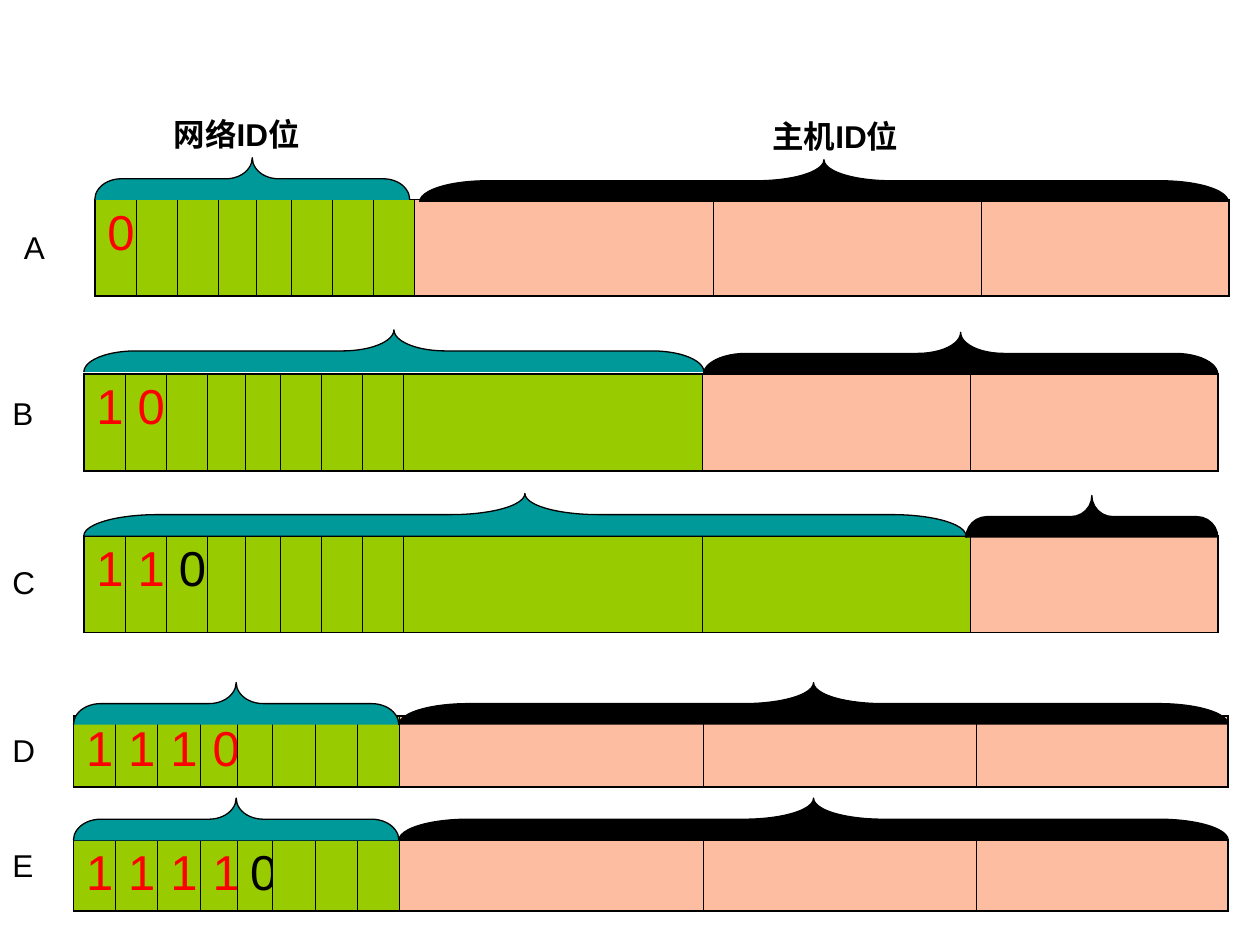
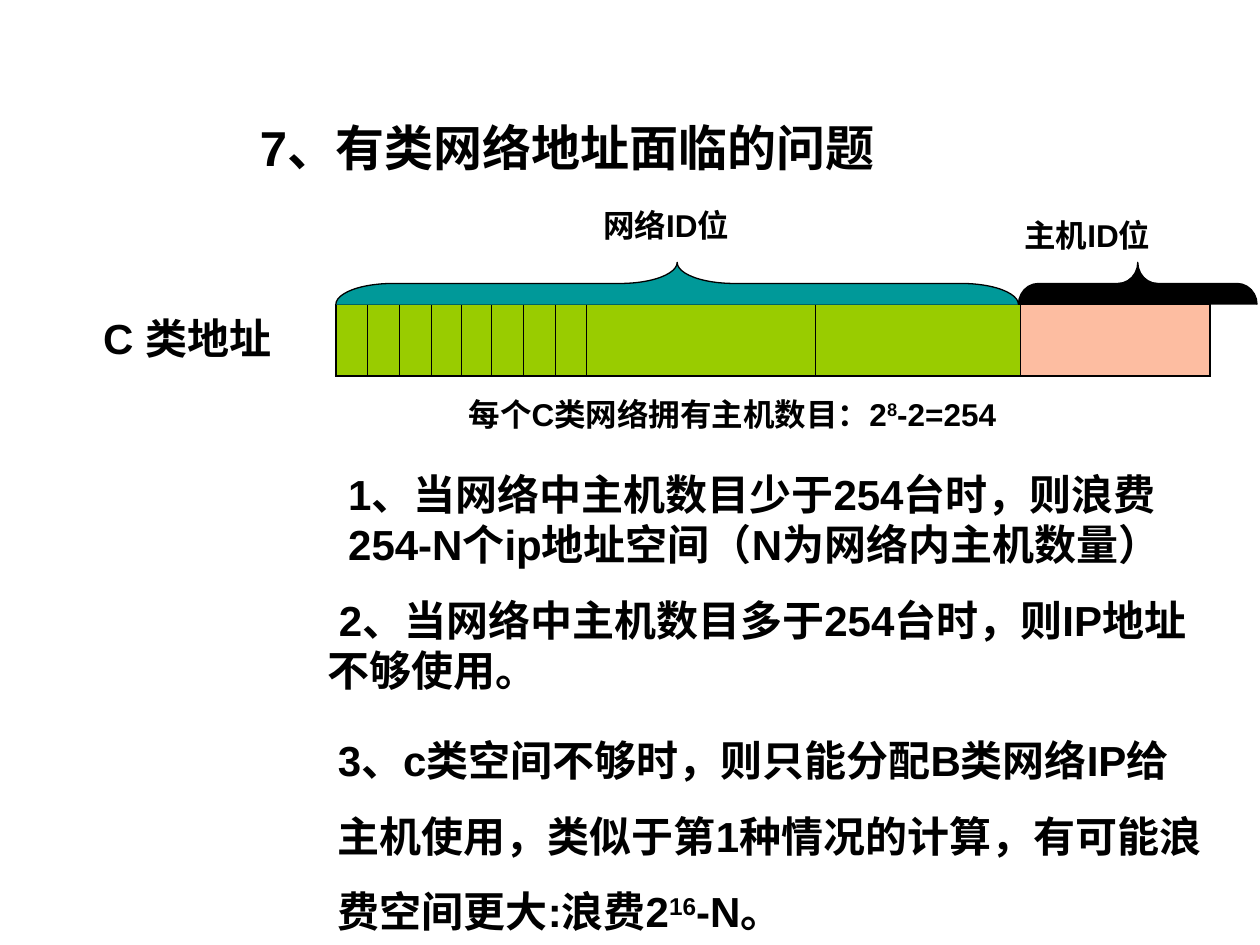
"""Build two slides on the network and host bits of classful IP addresses."""
from lxml import etree
from pptx import Presentation
from pptx.dml.color import RGBColor
from pptx.enum.shapes import MSO_SHAPE
from pptx.enum.text import MSO_ANCHOR, MSO_AUTO_SIZE, PP_ALIGN
from pptx.oxml.ns import qn
from pptx.util import Cm, Pt

BRACE = MSO_SHAPE.LEFT_BRACE
GROW = MSO_AUTO_SIZE.SHAPE_TO_FIT_TEXT
MIDDLE = MSO_ANCHOR.MIDDLE
CENTER, LEFT = PP_ALIGN.CENTER, PP_ALIGN.LEFT

BLACK = RGBColor(0, 0, 0)
RED = RGBColor(0xFF, 0, 0)
TEAL = RGBColor(0, 0x99, 0x99)
GREEN = RGBColor(0x99, 0xCC, 0)
PEACH = RGBColor(0xFD, 0xBD, 0xA1)

FONT = "Arial"
BRACE_HEIGHT = 0.85
THIN, THICK = 0.45, 1.08


def octet_columns(bit, fourth_bit, fifth_bit, *octets):
    """Return the widths of eight bit columns followed by three octets."""
    return [bit] * 3 + [fourth_bit, fifth_bit] + [bit] * 3 + list(octets)


NARROW = octet_columns(0.83, 0.76, 0.71, 6.02, 5.41, 4.98)
WIDE = octet_columns(0.85, 0.76, 0.71, 6.13, 5.5, 5.08)
SMALL = octet_columns(0.64, 0.6, 0.6, 4.62, 4.13, 3.81)

# letter, letter position, digits, colour of the last digit, network columns,
# table (left, top, height, columns), braces (left, top, length)
ADDRESS_CLASSES = [
    ("A", (0.23, 4.47), "0", RED, 8, (1.91, 4.02, 1.95, NARROW),
     (1.91, 3.18, 6.35), (8.46, 3.22, 16.3)),
    ("B", (0, 7.82), "10", RED, 9, (1.69, 7.54, 1.95, NARROW),
     (1.69, 6.65, 12.5), (14.18, 6.7, 10.37)),
    ("C", (0, 11.23), "110", BLACK, 10, (1.69, 10.8, 1.95, NARROW),
     (1.69, 9.95, 17.78), (19.47, 9.99, 5.08)),
    ("D", (0, 14.61), "1110", RED, 8, (1.48, 14.43, 1.44, WIDE),
     (1.48, 13.76, 6.56), (8.04, 13.76, 16.72)),
    ("E", (0, 16.94), "11110", BLACK, 8, (1.48, 16.93, 1.44, WIDE),
     (1.48, 16.09, 6.56), (8.04, 16.09, 16.72)),
]

NETWORK_LABEL, HOST_LABEL = "网络ID位", "主机ID位"
CLASS_C_BAR = ("", BLACK, 10, (6.77, 6.14, 1.44, SMALL),
               (6.77, 5.29, 13.76), (20.53, 5.29, 4.81))

TITLE = "7、有类网络地址面临的问题"
# paragraphs of runs (every second run is raised), box, size, wrap, line spacing
PROBLEM_TEXTS = [
    ([["C 类地址"]], (1.83, 6.17, 4.09, 1.27), 24, False, 1),
    ([["每个C类网络拥有主机数目：2", "8", "-2=254"]],
     (9.2, 7.83, 11.58, 1.02), 18, False, 1),
    ([["1、当网络中主机数目少于254台时，则浪费254-N个ip地址空间（N为网络内主机数量）"]],
     (6.77, 9.31, 17.99, 2.29), 24, True, 1),
    ([[" 2、当网络中主机数目多于254台时，则IP地址"], ["不够使用。"]],
     (6.35, 11.85, 22.66, 2.29), 24, True, 1),
    ([["3、c类空间不够时，则只能分配B类网络IP给主机使用，类似于第1种情况的计算，"
       "有可能浪费空间更大:浪费2", "16", "-N。"]],
     (6.56, 14.18, 17.99, 4.83), 24, True, 1.5),
]


def style(paragraph, size, color=BLACK, bold=False):
    font = paragraph.font
    font.name, font.size, font.bold = FONT, Pt(size), bold
    font.color.rgb = color


def add_text(slide, paragraphs, box, size, wrap=False, spacing=1, bold=True):
    frame = slide.shapes.add_textbox(*map(Cm, box)).text_frame
    frame.word_wrap = wrap
    frame.auto_size = GROW
    for number, runs in enumerate(paragraphs):
        paragraph = frame.add_paragraph() if number else frame.paragraphs[0]
        paragraph.alignment = LEFT
        paragraph.line_spacing = spacing
        style(paragraph, size, bold=bold)
        for position, text in enumerate(runs):
            run = paragraph.add_run()
            run.text = text
            if position % 2:
                run._r.get_or_add_rPr().set("baseline", "30000")
    return frame


def add_brace(slide, left, top, length, color):
    middle_x, middle_y = left + length / 2, top + BRACE_HEIGHT / 2
    brace = slide.shapes.add_shape(
        BRACE, Cm(middle_x - BRACE_HEIGHT / 2), Cm(middle_y - length / 2),
        Cm(BRACE_HEIGHT), Cm(length))
    brace.rotation = 90
    brace.adjustments[0] = length / 12 / BRACE_HEIGHT
    brace.shadow.inherit = False
    brace.fill.solid()
    brace.fill.fore_color.rgb = color
    brace.line.color.rgb = BLACK
    brace.line.width = Pt(0.75)


def add_borders(cell, first, last):
    properties = cell._tc.get_or_add_tcPr()
    widths = {"lnL": THICK if first else THIN, "lnR": THICK if last else THIN,
              "lnT": THICK, "lnB": THICK}
    for side, width in widths.items():
        line = etree.SubElement(properties, qn(f"a:{side}"), w=str(Pt(width)))
        fill = etree.SubElement(line, qn("a:solidFill"))
        etree.SubElement(fill, qn("a:srgbClr"), val=str(BLACK))


def add_address_bar(slide, digits, last_color, network_columns, grid,
                    network_brace, host_brace):
    left, top, height, widths = grid
    table = slide.shapes.add_table(
        1, len(widths), Cm(left), Cm(top), Cm(sum(widths)), Cm(height)).table
    table.first_row = table.horz_banding = False
    table.rows[0].height = Cm(height)
    for index, width in enumerate(widths):
        table.columns[index].width = Cm(width)
        cell = table.cell(0, index)
        add_borders(cell, index == 0, index == len(widths) - 1)
        cell.fill.solid()
        cell.fill.fore_color.rgb = GREEN if index < network_columns else PEACH
        if index < len(digits):
            cell.text = digits[index]
            digit = cell.text_frame.paragraphs[0]
            digit.space_before = Pt(7)
            style(digit, 28, last_color if index == len(digits) - 1 else RED)
    add_brace(slide, *network_brace, TEAL)
    add_brace(slide, *host_brace, BLACK)


def add_part_labels(slide, network_at, host_at):
    for label, position in ((NETWORK_LABEL, network_at), (HOST_LABEL, host_at)):
        add_text(slide, [[label]], (*position, 3.35, 1.02), 18)


def build_classes(slide):
    for letter, position, *bar in ADDRESS_CLASSES:
        add_address_bar(slide, *bar)
        add_text(slide, [[letter]], (*position, 1.04, 1.02), 18, True, bold=False)
    add_part_labels(slide, (3.25, 2.2), (15.32, 2.24))


def build_problems(slide):
    title = add_text(slide, [[TITLE]], (0, 2.12, 22.86, 1.69), 28, True)
    title.auto_size = MSO_AUTO_SIZE.NONE
    title.vertical_anchor = MIDDLE
    title.paragraphs[0].alignment = CENTER
    add_address_bar(slide, *CLASS_C_BAR)
    add_part_labels(slide, (11.91, 4.02), (20.4, 4.24))
    for problem in PROBLEM_TEXTS:
        add_text(slide, *problem)


def main():
    deck = Presentation()
    deck.slide_width, deck.slide_height = Cm(25.4), Cm(19.05)
    for build in (build_classes, build_problems):
        build(deck.slides.add_slide(deck.slide_layouts[6]))
    deck.save("out.pptx")


if __name__ == "__main__":
    main()
